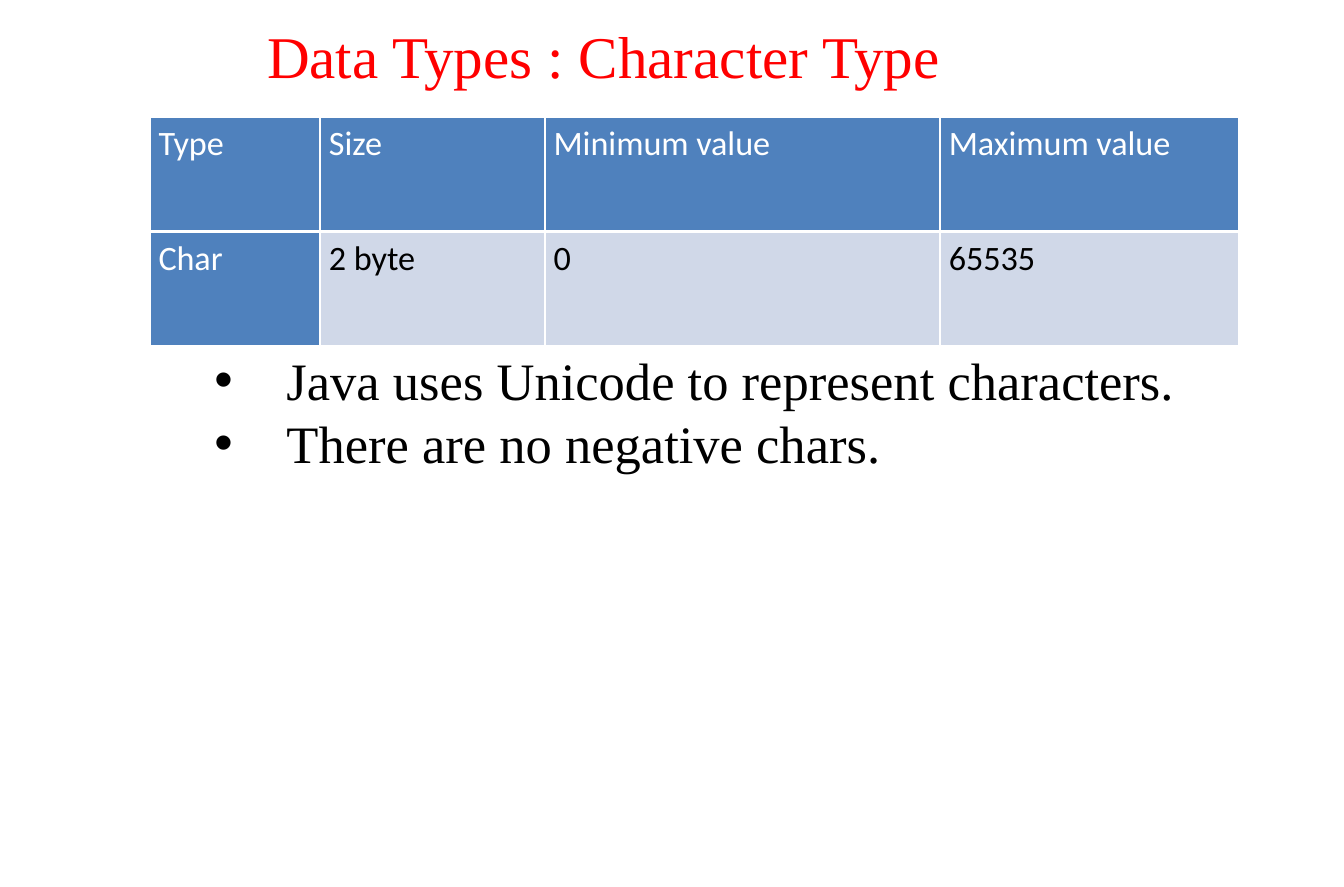
from pptx import Presentation, util as u
from pptx.dml.color import RGBColor
from pptx.enum import text
from pptx.oxml import parse_xml
from pptx.oxml.ns import nsdecls

Cm, Pt = u.Cm, u.Pt

TITLE = "Data Types : Character Type"
ROWS = [
    ("Type", "Size", "Minimum value", "Maximum value"),
    ("Char", "2 byte", "0", "65535"),
]
BULLETS = [
    "Java uses Unicode to represent characters.",
    "There are no negative chars.",
]
COLUMN_WIDTHS = (2.29, 3.02, 5.31, 4.02)
ROW_HEIGHT = 1.54
BULLET_INDENT = 0.97
SERIF, SANS = "Times New Roman", "Calibri"
RED, BLACK, WHITE, BLUE, PALE = "FF0000", "000000", "FFFFFF", "4F81BD", "D0D8E8"


def color(value):
    return RGBColor.from_string(value)


def style(paragraph, name, size, hex_color, alignment):
    paragraph.alignment = alignment
    for run in paragraph.runs:
        run.font.name = name
        run.font.size = Pt(size)
        run.font.bold = False
        run.font.color.rgb = color(hex_color)


def add_text(slide, box, lines):
    text_frame = slide.shapes.add_textbox(*map(Cm, box)).text_frame
    text_frame.word_wrap = True
    text_frame.margin_left = text_frame.margin_right = 0
    text_frame.margin_top = text_frame.margin_bottom = 0
    text_frame.text = "\n".join(lines)
    return text_frame.paragraphs


def add_bullet(paragraph):
    properties = paragraph._p.get_or_add_pPr()
    properties.set("marL", str(Cm(BULLET_INDENT)))
    properties.set("indent", str(-Cm(BULLET_INDENT)))
    properties.append(parse_xml(f'<a:buFont {nsdecls("a")} typeface="Arial"/>'))
    properties.append(parse_xml(f'<a:buChar {nsdecls("a")} char="•"/>'))


def add_borders(cell):
    """Draw thin white lines on all four sides of the cell."""
    properties = cell._tc.get_or_add_tcPr()
    for index, side in enumerate(("lnL", "lnR", "lnT", "lnB")):
        properties.insert(index, parse_xml(
            f'<a:{side} {nsdecls("a")} w="{Pt(1)}"><a:solidFill>'
            f'<a:srgbClr val="{WHITE}"/></a:solidFill></a:{side}>'))


def add_type_table(slide):
    table = slide.shapes.add_table(
        len(ROWS), len(COLUMN_WIDTHS), Cm(2.01), Cm(1.57),
        Cm(sum(COLUMN_WIDTHS)), Cm(ROW_HEIGHT * len(ROWS))).table
    for column, width in zip(table.columns, COLUMN_WIDTHS):
        column.width = Cm(width)
    for row_index, values in enumerate(ROWS):
        table.rows[row_index].height = Cm(ROW_HEIGHT)
        for column_index, value in enumerate(values):
            is_header = row_index == 0 or column_index == 0
            cell = table.cell(row_index, column_index)
            cell.text_frame.text = value
            cell.margin_left = cell.margin_right = Cm(0.12)
            cell.margin_top = cell.margin_bottom = 0
            cell.fill.solid()
            cell.fill.fore_color.rgb = color(BLUE if is_header else PALE)
            add_borders(cell)
            paragraph = cell.text_frame.paragraphs[0]
            paragraph.line_spacing = 1.15
            style(paragraph, SANS, 13, WHITE if is_header else BLACK,
                  text.PP_ALIGN.JUSTIFY)


def main():
    presentation = Presentation()
    presentation.slide_width = u.Inches(7.11)
    presentation.slide_height = u.Inches(4.69)
    slide = presentation.slides.add_slide(presentation.slide_layouts[6])

    title = add_text(slide, (0, 0.26, 16.23, 0.97), [TITLE])[0]
    style(title, SERIF, 22.5, RED, text.PP_ALIGN.CENTER)

    add_type_table(slide)

    for paragraph in add_text(slide, (2.88, 4.67, 15.16, 4.24), BULLETS):
        add_bullet(paragraph)
        style(paragraph, SERIF, 20, BLACK, text.PP_ALIGN.JUSTIFY)

    presentation.save("out.pptx")


if __name__ == "__main__":
    main()
